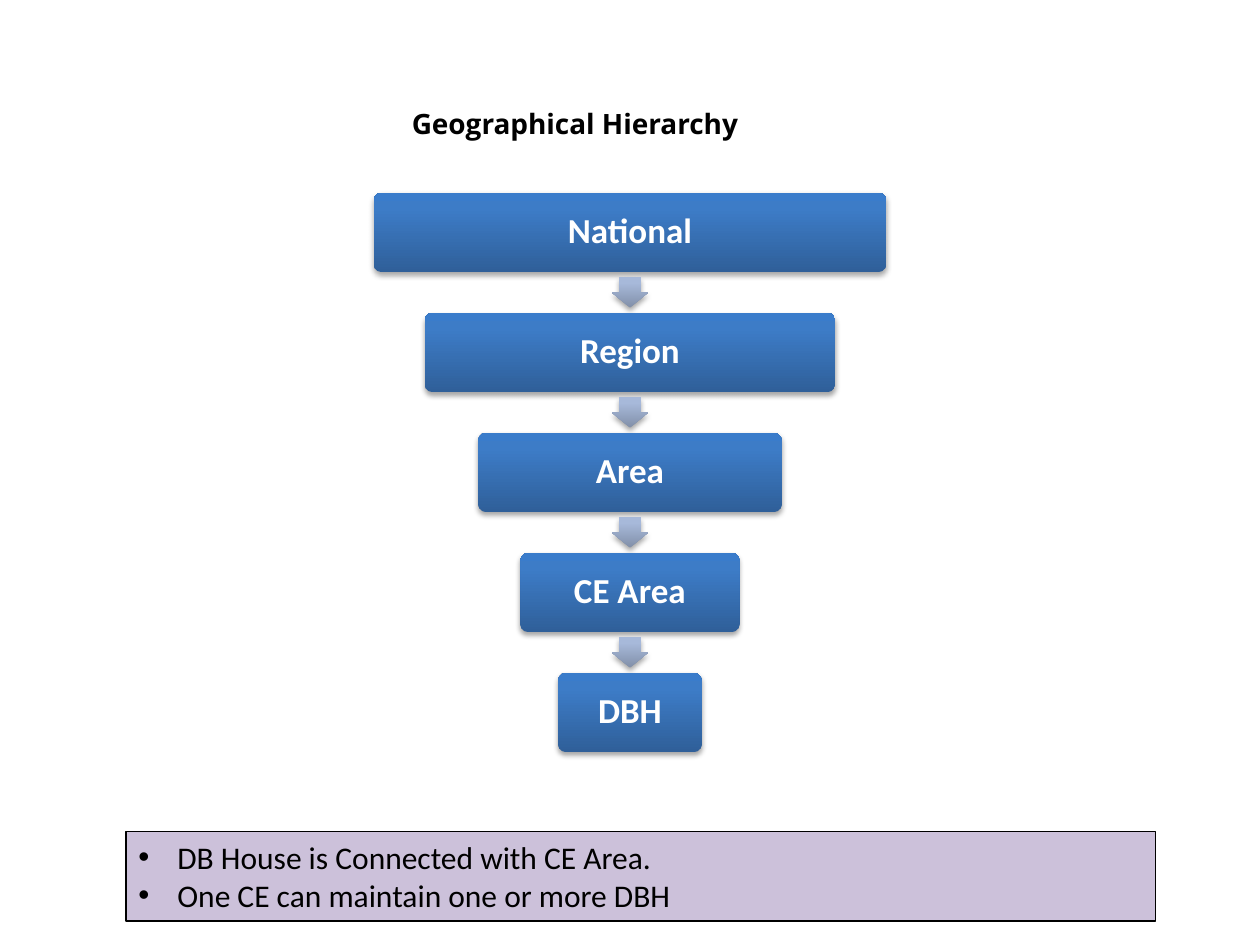
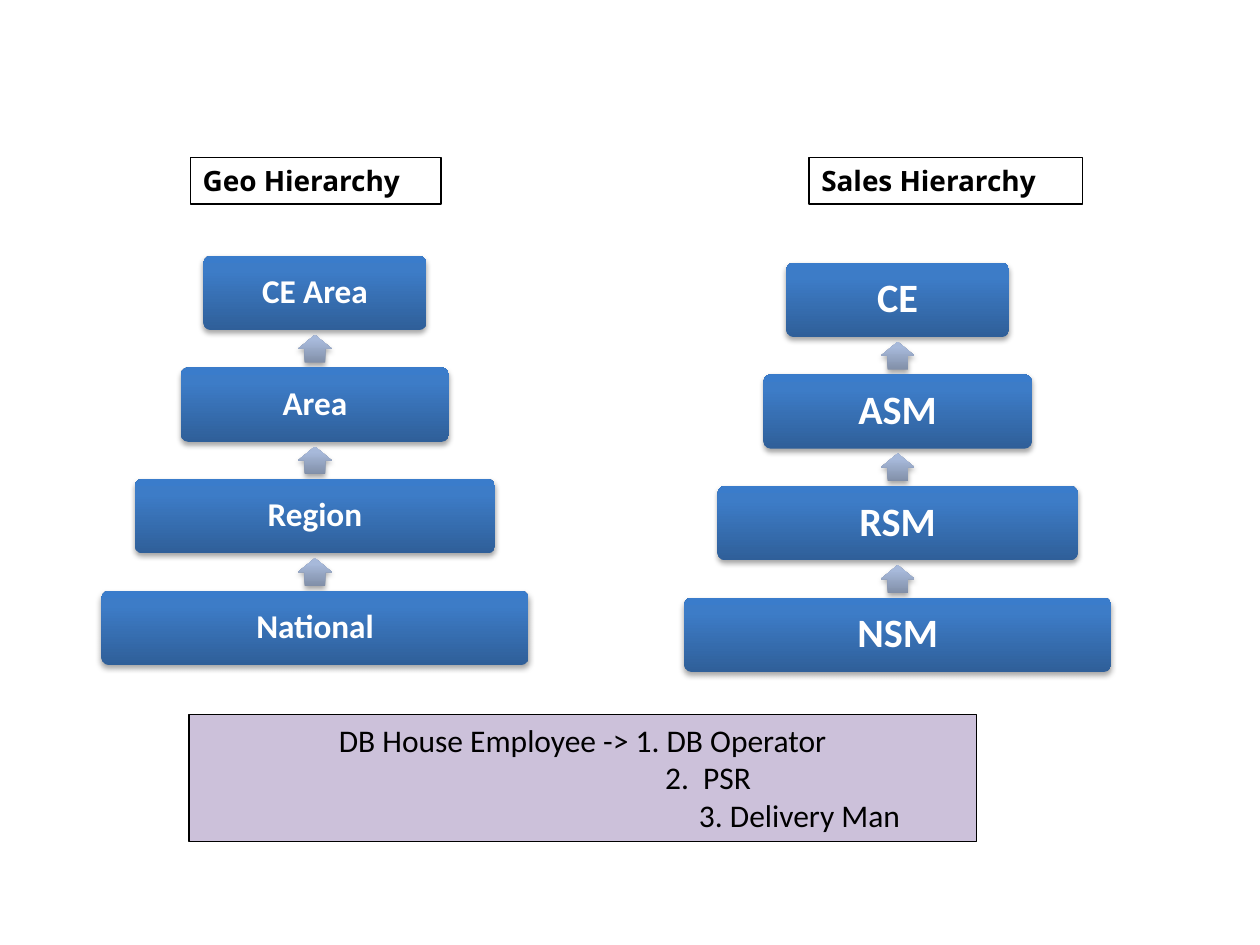
from lxml import etree
from pptx import Presentation
from pptx import util as u
from pptx.dml.color import RGBColor
from pptx.enum import shapes, text
from pptx.oxml import parse_xml
from pptx.oxml.ns import nsdecls, qn

Inches, Pt = u.Inches, u.Pt
BLACK, WHITE, LILAC = "000000", "FFFFFF", "CCC1DA"
BOX_STOPS = [(0, "2F5F99"), (80, "3D7CC7"), (100, "3A7CCB")]
ARROW_STOPS = [(0, "818FA8"), (80, "A7B9DA"), (100, "A7BADC")]
LEFT, CENTER = text.PP_ALIGN.LEFT, text.PP_ALIGN.CENTER


def text_box(s, lines, x, y, w, h, size=18, font="Calibri", bold=False, fill=None,
             line=True, wrap=True, align=LEFT, bullet=False, indents=None):
    """Add a text box with one paragraph for each line."""
    sp = s.shapes.add_textbox(Inches(x), Inches(y), Inches(w), Inches(h))
    if fill:
        sp.fill.solid()
        sp.fill.fore_color.rgb = RGBColor.from_string(fill)
    if line:
        sp.line.color.rgb = RGBColor.from_string(BLACK)
        sp.line.width = Pt(0.75)
    tf = sp.text_frame
    tf.word_wrap = wrap
    tf.auto_size = text.MSO_AUTO_SIZE.SHAPE_TO_FIT_TEXT
    for i, words in enumerate(lines):
        p = tf.add_paragraph() if i else tf.paragraphs[0]
        p.alignment = align
        pPr = p._p.get_or_add_pPr()
        if indents:
            pPr.set("marL", str(Inches(indents[i])))
        if bullet:
            pPr.set("marL", str(Inches(0.31)))
            pPr.set("indent", str(-Inches(0.31)))
            etree.SubElement(pPr, qn("a:buFont")).set("typeface", "Arial")
            etree.SubElement(pPr, qn("a:buChar")).set("char", "•")
        r = p.add_run()
        r.text = words
        r.font.size, r.font.name, r.font.bold = Pt(size), font, bold
        r.font.color.rgb = RGBColor.from_string(BLACK)


def glossy(group, kind, x, y, w, h, stops):
    """Add a shape with a vertical gradient and a soft shadow."""
    sp = group.shapes.add_shape(kind, Inches(x), Inches(y), Inches(w), Inches(h))
    sp.line.fill.background()
    sp.fill.gradient()
    sp.fill.gradient_angle = 90
    grad = sp._element.spPr.find(qn("a:gradFill"))
    grad.set("rotWithShape", "0")
    gs_list = grad.find(qn("a:gsLst"))
    for gs in list(gs_list):
        gs_list.remove(gs)
    for pos, color in stops:
        gs = etree.SubElement(gs_list, qn("a:gs"), pos=str(pos * 1000))
        etree.SubElement(gs, qn("a:srgbClr"), val=color)
    sp.shadow.inherit = False
    sp._element.spPr.find(qn("a:effectLst")).append(parse_xml(
        f'<a:outerShdw {nsdecls("a")} blurRad="{Pt(3.1)}" dist="{Pt(1.8)}" dir="5400000" '
        'rotWithShape="0"><a:srgbClr val="000000"><a:alpha val="35000"/></a:srgbClr>'
        '</a:outerShdw>'))
    return sp


prs = Presentation()
prs.slide_width, prs.slide_height = Inches(10), Inches(7.5)
geo, sales = [prs.slides.add_slide(prs.slide_layouts[6]) for _ in range(2)]

# Titles and notes
heading = dict(size=16, font="Open Sans", bold=True, wrap=False)
text_box(geo, ["Geographical Hierarchy"], 3.17, 0.8, 3.16, 0.37, line=False, **heading)
text_box(geo, ["DB House is Connected with CE Area.", "One CE can maintain one or more DBH"],
         1, 6.6, 8.17, 0.71, fill=LILAC, bullet=True)
text_box(sales, ["Geo Hierarchy"], 1.51, 1.25, 1.99, 0.37, **heading)
text_box(sales, ["Sales Hierarchy"], 6.42, 1.25, 2.17, 0.37, **heading)
text_box(sales, ["DB House Employee -> 1. DB Operator", "2.  PSR", "3. Delivery Man"],
         1.5, 5.67, 6.25, 1.01, fill=LILAC, align=CENTER, indents=[0, 1.99, 3.44])

# Hierarchies: slide, centre, top, step, box height, arrow size, arrow turn,
# text size, inset, levels, widths
narrow_to_wide = [1.77, 2.13, 2.86, 3.39]
hierarchies = [
    (geo, 5, 1.53, 0.9525, 0.63, (0.24, 0.29), 90, 20, 0.08,
     ["National", "Region", "Area", "CE Area", "DBH"], [4.07, 3.26, 2.41, 1.74, 1.14]),
    (sales, 2.5, 2.03, 0.886, 0.59, (0.22, 0.27), 270, 19, 0.08,
     ["CE Area", "Area", "Region", "National"], narrow_to_wide),
    (sales, 7.125, 2.085, 0.886, 0.59, (0.22, 0.27), 270, 23, 0.1,
     ["CE", "ASM", "RSM", "NSM"], narrow_to_wide),
]
for s, cx, top, step, h, (aw, ah), turn, size, inset, levels, widths in hierarchies:
    group = s.shapes.add_group_shape()
    for i, (level, w) in enumerate(zip(levels, widths)):
        y = top + i * step
        # Arrow in the middle of the gap above
        if i:
            gap_mid = y - (step - h) / 2
            arrow = glossy(group, shapes.MSO_SHAPE.RIGHT_ARROW, cx - aw / 2,
                           gap_mid - ah / 2, aw, ah, ARROW_STOPS)
            arrow.adjustments[0], arrow.adjustments[1] = 0.6, 0.5
            arrow.rotation = turn
        # Level box
        sp = glossy(group, shapes.MSO_SHAPE.ROUNDED_RECTANGLE, cx - w / 2, y, w, h, BOX_STOPS)
        sp.adjustments[0] = 0.1
        tf = sp.text_frame
        tf.word_wrap = True
        tf.vertical_anchor = text.MSO_ANCHOR.MIDDLE
        tf.margin_left = tf.margin_right = tf.margin_top = tf.margin_bottom = Inches(inset)
        p = tf.paragraphs[0]
        p.alignment, p.line_spacing, p.space_after = CENTER, 0.9, Pt(0.35 * size)
        r = p.add_run()
        r.text = level
        r.font.size, r.font.name, r.font.bold = Pt(size), "Calibri", True
        r.font.color.rgb = RGBColor.from_string(WHITE)

prs.save("out.pptx")
